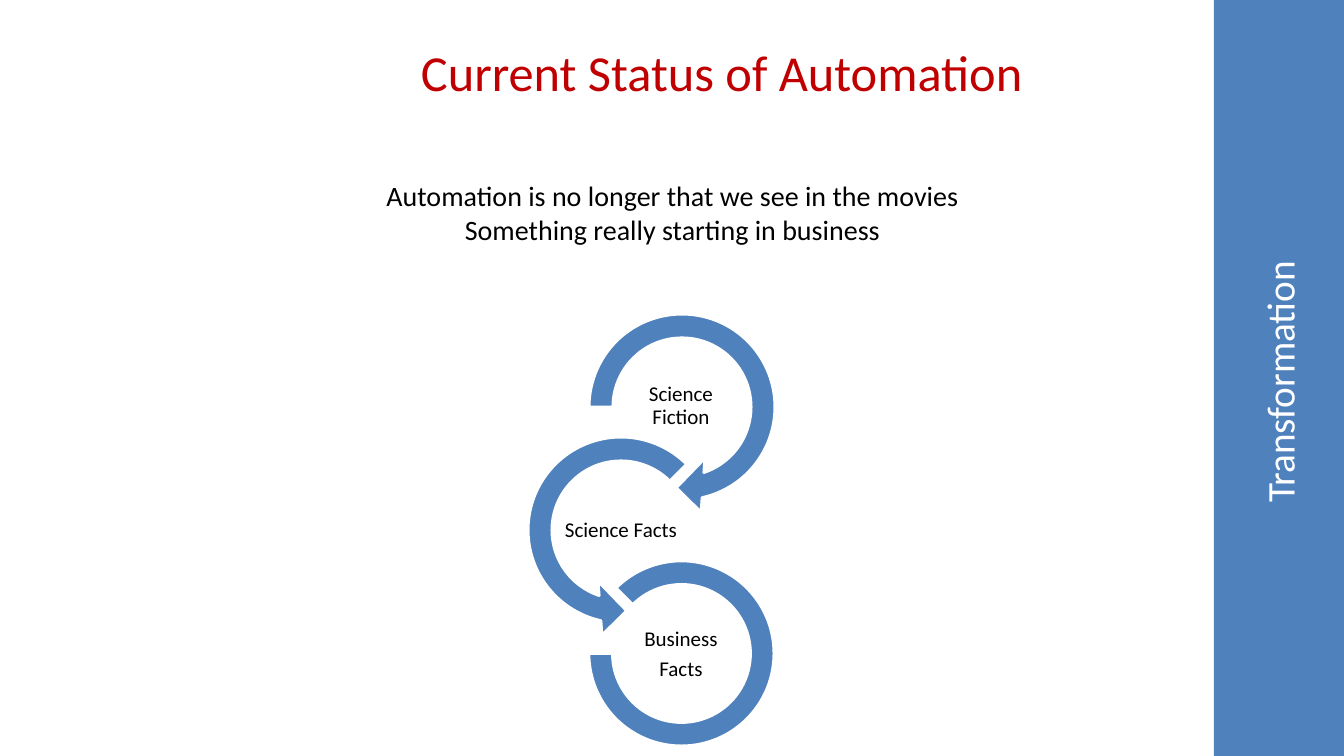
from pptx import Presentation
from pptx.dml.color import RGBColor
from pptx.enum.shapes import MSO_SHAPE as SHAPE
from pptx.enum.text import MSO_ANCHOR as ANCHOR, PP_ALIGN as ALIGN
from pptx.util import Pt

PX = 914400 / 100.8
FONT = "Calibri"
COLORS = {"blue": "4F81BD", "red": "C00000", "white": "FFFFFF", "black": "000000"}

STEP = 124
LABEL_W, LABEL_H = 120, 59
STEPS = [
    (["Science Fiction"], 621, SHAPE.CIRCULAR_ARROW,
     (574, 299, 216, 216), (0.11, 11.42, 45, 108, 0.125)),
    (["Science Facts"], 561, SHAPE.LEFT_CIRCULAR_ARROW,
     (513, 422, 216, 216), (0.11, 11.42, 63, 189, 0.125)),
    (["Business", "Facts"], 621, SHAPE.BLOCK_ARC,
     (589, 561, 185, 185), (135, 108, 0.127)),
]


def px(n):
    return round(n * PX)


def rgb(name):
    return RGBColor.from_string(COLORS[name])


def add_shape(s, kind, box, adjustments=(), outline=None):
    sp = s.shapes.add_shape(kind, *map(px, box))
    sp.shadow.inherit = False
    for i, value in enumerate(adjustments):
        sp.adjustments[i] = value
    sp.fill.solid()
    sp.fill.fore_color.rgb = rgb("blue")
    if outline:
        sp.line.color.rgb = rgb(outline)
        sp.line.width = Pt(2)
    else:
        sp.line.fill.background()
    return sp


def add_text(s, box, lines, size, color="black", align=ALIGN.CENTER,
             anchor=ANCHOR.TOP, insets=None, spacing=None, after=None):
    sp = s.shapes.add_textbox(*map(px, box))
    tf = sp.text_frame
    tf.word_wrap = True
    tf.vertical_anchor = anchor
    if insets:
        tf.margin_left = tf.margin_right = px(insets[0])
        tf.margin_top = tf.margin_bottom = px(insets[1])
    for i, line in enumerate(lines):
        p = tf.paragraphs[0] if i == 0 else tf.add_paragraph()
        p.text = line
        p.alignment = align
        p.line_spacing = spacing
        p.space_after = after
        p.font.name = FONT
        p.font.size = Pt(size)
        p.font.color.rgb = rgb(color)
    return sp


def add_step(s, index, lines, label_left, kind, box, adjustments):
    add_shape(s, kind, box, adjustments, outline="white")
    label = (label_left, 377 + index * STEP, LABEL_W, LABEL_H)
    add_text(s, label, lines, 15, anchor=ANCHOR.MIDDLE, insets=(1, 1),
             spacing=0.9, after=Pt(5))


def add_sidebar(s, title):
    add_shape(s, SHAPE.RECTANGLE, (1214, 0, 130, 756))
    sp = add_text(s, (959, 354, 640, 47), [title], 28, "white", insets=(4, 0))
    sp.rotation = 270


def main():
    prs = Presentation()
    prs.slide_width, prs.slide_height = px(1344), px(756)
    s = prs.slides.add_slide(prs.slide_layouts[6])
    add_text(s, (219, 149, 907, 126),
             ["Automation is no longer that we see in the movies\v"
              "Something really starting in business"],
             20, anchor=ANCHOR.MIDDLE)
    for i, step in enumerate(STEPS):
        add_step(s, i, *step)
    add_text(s, (411, 36, 668, 72), ["Current Status of Automation"], 36,
             "red", align=ALIGN.LEFT)
    add_sidebar(s, "Transformation ")
    prs.save("out.pptx")


if __name__ == "__main__":
    main()
